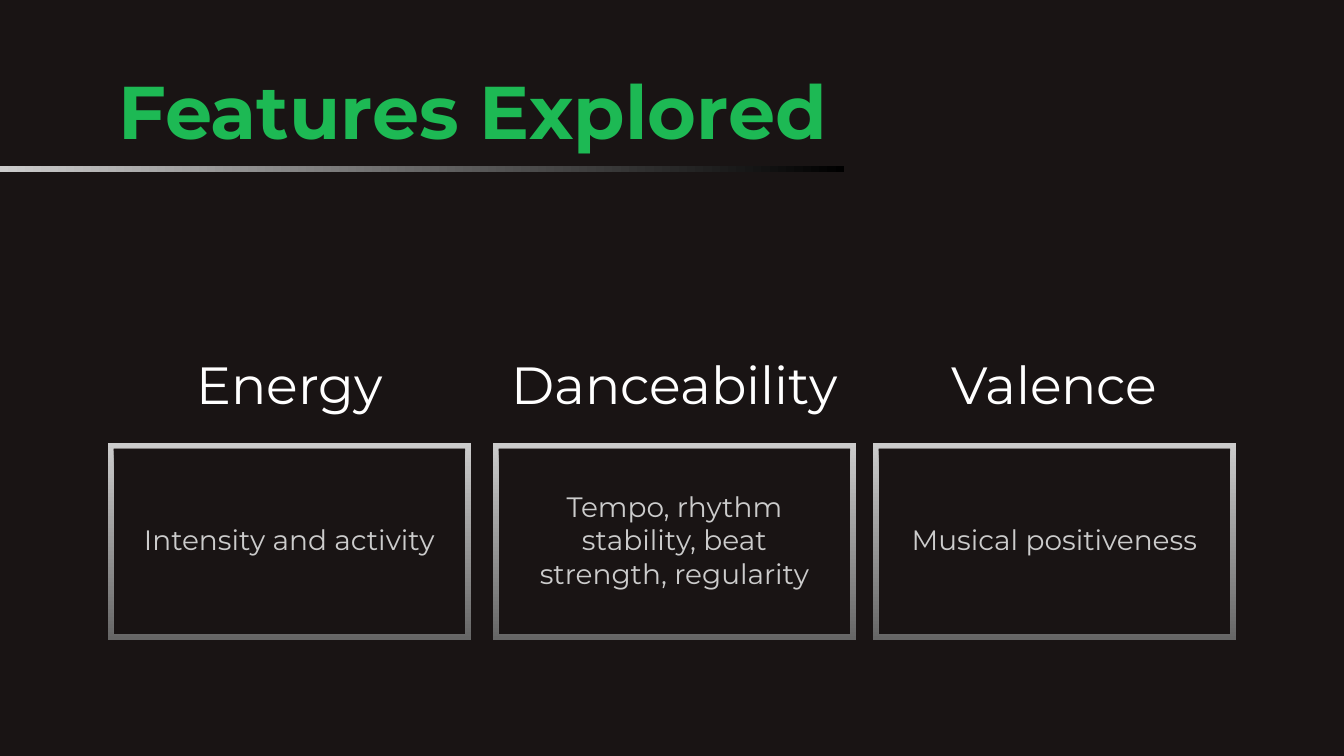
from pptx import Presentation
from pptx.dml.color import RGBColor
from pptx.enum.shapes import MSO_SHAPE
from pptx.enum.text import MSO_ANCHOR, MSO_AUTO_SIZE, PP_ALIGN
from pptx.util import Emu, Pt

PX = 914400 / 134.4
FONT = "Montserrat"
COLORS = {
    "background": "191414",
    "green": "1DB954",
    "white": "FFFFFF",
    "light": "CCCCCC",
    "gray": "666666",
    "black": "000000",
}
FEATURES = [
    (108, "Energy", "Intensity and activity"),
    (493, "Danceability", "Tempo, rhythm stability, beat strength, regularity"),
    (873, "Valence", "Musical positiveness"),
]
FRAME_WIDTH = 363


def px(*lengths):
    return [Emu(round(length * PX)) for length in lengths]


def color(name):
    return RGBColor.from_string(COLORS[name])


class FeatureSlide:
    def __init__(self, deck):
        self.page = deck.slides.add_slide(deck.slide_layouts[5])
        fill = self.page.background.fill
        fill.solid()
        fill.fore_color.rgb = color("background")

    def set_text(self, box, text, size, tint, align, anchor, bold=False):
        frame = box.text_frame
        frame.word_wrap = True
        frame.auto_size = MSO_AUTO_SIZE.NONE
        frame.vertical_anchor = anchor
        inset = Pt(7.2)
        frame.margin_left = frame.margin_right = inset
        frame.margin_top = frame.margin_bottom = inset
        frame.text = text
        para = frame.paragraphs[0]
        para.alignment = align
        font = para.runs[0].font
        font.name, font.size, font.bold = FONT, Pt(size), bold
        font.color.rgb = color(tint)

    def title(self, text, left, top, width, height):
        box = self.page.shapes.title
        box.left, box.top, box.width, box.height = px(left, top, width, height)
        self.set_text(box, text, 40, "green", PP_ALIGN.LEFT, MSO_ANCHOR.TOP, bold=True)

    def label(self, text, left, top, width, height, size, tint):
        box = self.page.shapes.add_textbox(*px(left, top, width, height))
        self.set_text(box, text, size, tint, PP_ALIGN.CENTER, MSO_ANCHOR.MIDDLE)

    def gradient_shape(self, kind, left, top, width, height, start, end, angle):
        """Angle runs counter-clockwise in degrees, 0 being left to right."""
        shape = self.page.shapes.add_shape(kind, *px(left, top, width, height))
        shape.shadow.inherit = False
        shape.line.fill.background()
        shape.fill.gradient()
        shape.fill.gradient_angle = angle
        for stop, name in zip(shape.fill.gradient_stops, (start, end)):
            stop.color.rgb = color(name)
        return shape


def main():
    deck = Presentation()
    deck.slide_width, deck.slide_height = px(1344, 756)
    slide = FeatureSlide(deck)
    slide.gradient_shape(MSO_SHAPE.RECTANGLE, 0, 166, 844, 6, "light", "black", 0)
    slide.title("Features Explored", 105, 51, 1134, 85)
    for left, name, description in FEATURES:
        slide.label(name, left + 5, 348, FRAME_WIDTH - 10, 71, 28, "white")
        slide.label(description, left + 20, 481, FRAME_WIDTH - 40, 117, 15, "light")
        frame = slide.gradient_shape(
            MSO_SHAPE.FRAME, left, 443, FRAME_WIDTH, 197, "light", "gray", 270
        )
        frame.adjustments[0] = 0.028
    deck.save("out.pptx")


if __name__ == "__main__":
    main()
